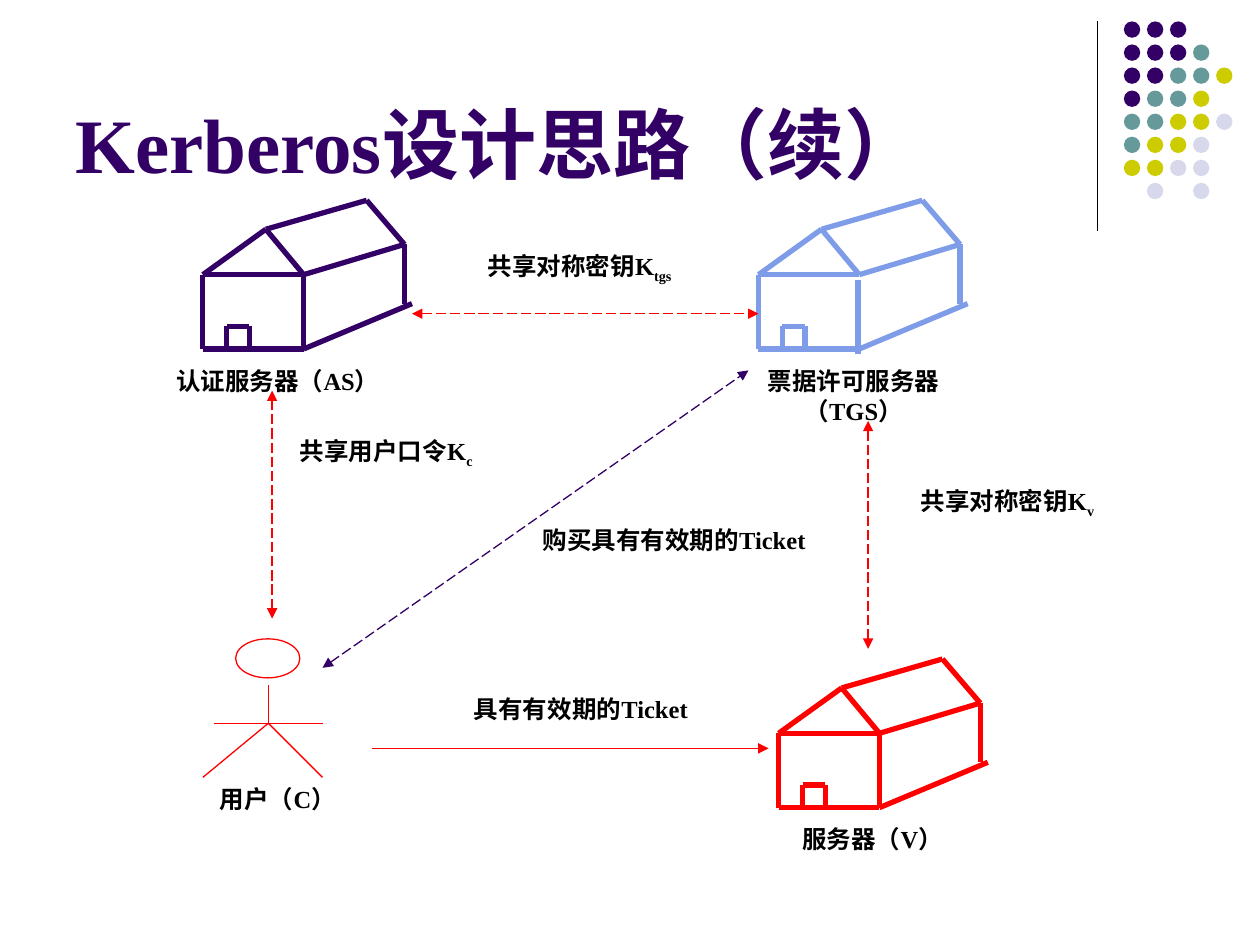
from lxml import etree
from pptx import Presentation
from pptx import util as u
from pptx.dml.color import RGBColor
from pptx.enum import dml, shapes, text
from pptx.oxml import ns

THEME = {
    "font": "Times New Roman", "title_size": 44, "label_size": 14,
    "purple": "330066", "teal": "669999", "lime": "CCCC00", "pale": "D8D8EC",
    "blue": "7E9CE8", "red": "FF0000", "black": "000000",
    "thin": 0.75, "thick": 3,
}

# Content; all lengths are inches
SLIDE_SIZE = (10, 7.5)
TITLE = ("Kerberos设计思路（续）", (0.5, 0.13, 8.25, 1.42))
DIVIDER = ((8.71, 0.17), (8.71, 1.83))

DOT_COLOURS = {"P": "purple", "T": "teal", "L": "lime", "D": "pale"}
DOT_ROWS = ["PPP", "PPPT", "PPTTL", "PTTL", "TTLLD", "TLLD", "LLDD", " D D"]
DOT_ORIGIN, DOT_PITCH, DOT_SIZE = (8.92, 0.17), 0.183, 0.13

# Colour, left, top, shift of the front corner wall
HOUSES = [
    ("blue", 6.02, 1.59, (-0.01, 0.04)),
    ("red", 6.18, 5.23, (0, 0)),
    ("purple", 1.61, 1.59, (0, 0)),
]
HOUSE_POINTS = {
    "gable": (0.5, 0.23), "ridge": (1.3, 0), "eave": (1.6, 0.35),
    "left eave": (0, 0.59), "front eave": (0.8, 0.59),
    "left base": (0, 1.18), "front base": (0.8, 1.18),
    "back base": (1.66, 0.82), "back foot": (1.6, 0.82),
    "door top left": (0.19, 1), "door top right": (0.37, 1),
    "door base left": (0.19, 1.18), "door base right": (0.37, 1.18),
}
CORNER_WALL = ("front eave", "front base")
HOUSE_EDGES = [
    ("gable", "left eave"), ("gable", "front eave"), ("left eave", "front eave"),
    ("gable", "ridge"), ("ridge", "eave"), ("front eave", "eave"),
    ("left eave", "left base"), CORNER_WALL, ("left base", "front base"),
    ("front base", "back base"), ("eave", "back foot"),
    ("door top left", "door base left"), ("door top left", "door top right"),
    ("door top right", "door base right"),
]

USER_HEAD = (1.87, 5.07, 0.51, 0.31)
USER_LIMBS = [
    ((2.13, 5.44), (2.13, 5.74)), ((2.13, 5.74), (1.61, 6.17)),
    ((2.13, 5.74), (2.56, 6.17)), ((1.7, 5.74), (2.56, 5.74)),
]

# Start, end, colour, two-way (dashed with two heads)
ARROWS = [
    ((2.95, 5.94), (6.1, 5.94), "red", False),
    ((3.27, 2.49), (6.02, 2.49), "red", True),
    ((6.89, 3.34), (6.89, 5.15), "red", True),
    ((2.16, 4.91), (2.16, 3.1), "red", True),
    ((2.56, 5.3), (5.94, 2.94), "purple", True),
]

# Text, subscript, box
LABELS = [
    ("票据许可服务器（TGS）", "", (5.79, 2.86, 1.97, 0.57)),
    ("服务器（V）", "", (5.94, 6.49, 1.97, 0.34)),
    ("认证服务器（AS）", "", (1.22, 2.86, 1.97, 0.34)),
    ("用户（C）", "", (1.22, 6.17, 1.97, 0.34)),
    ("具有有效期的Ticket", "", (3.35, 5.46, 2.52, 0.34)),
    ("共享对称密钥K", "tgs", (3.5, 1.94, 2.2, 0.37)),
    ("共享对称密钥K", "v", (6.89, 3.81, 2.21, 0.37)),
    ("共享用户口令K", "c", (2.24, 3.41, 1.65, 0.37)),
    ("购买具有有效期的Ticket", "", (4.13, 4.12, 2.44, 0.34)),
]


def colour(name):
    return RGBColor.from_string(THEME[name])


def inches(values):
    return [u.Inches(value) for value in values]


def add_line(parent, start, end, line_colour, weight="thin"):
    line = parent.add_connector(shapes.MSO_CONNECTOR.STRAIGHT, *inches((*start, *end)))
    line.line.color.rgb = colour(line_colour)
    line.line.width = u.Pt(THEME[weight])
    etree.SubElement(line.element.spPr, ns.qn("a:effectLst"))
    return line


def add_arrow(parent, start, end, line_colour, two_way):
    line = add_line(parent, start, end, line_colour)
    if two_way:
        line.line.dash_style = dml.MSO_LINE.LONG_DASH
    for tag in ("a:headEnd", "a:tailEnd") if two_way else ("a:tailEnd",):
        etree.SubElement(line.line._get_or_add_ln(), ns.qn(tag), type="triangle")


def add_ellipse(parent, box, fill=None, outline=None):
    ellipse = parent.add_shape(shapes.MSO_SHAPE.OVAL, *inches(box))
    ellipse.shadow.inherit = False
    if fill:
        ellipse.fill.solid()
        ellipse.fill.fore_color.rgb = colour(fill)
    else:
        ellipse.fill.background()
    if outline:
        ellipse.line.color.rgb = colour(outline)
        ellipse.line.width = u.Pt(THEME["thin"])
    else:
        ellipse.line.fill.background()


def add_text(parent, words, box, size, text_colour, subscript=""):
    frame = parent.add_textbox(*inches(box)).text_frame
    frame.word_wrap = True
    paragraph = frame.paragraphs[0]
    paragraph.add_run().text = words
    if subscript:
        run = paragraph.add_run()
        run.text = subscript
        run.font._element.set("baseline", "-25000")
    font = paragraph.font
    font.name, font.size, font.bold = THEME["font"], u.Pt(THEME[size]), True
    font.color.rgb = colour(text_colour)
    return frame


def add_house(parent, house_colour, left, top, wall_shift):
    for edge in HOUSE_EDGES:
        shift_x, shift_y = wall_shift if edge == CORNER_WALL else (0, 0)
        start, end = [
            (left + x + shift_x, top + y + shift_y)
            for x, y in (HOUSE_POINTS[name] for name in edge)
        ]
        add_line(parent, start, end, house_colour, "thick")


def main():
    presentation = Presentation()
    presentation.slide_width, presentation.slide_height = inches(SLIDE_SIZE)
    slide = presentation.slides.add_slide(presentation.slide_layouts[6])
    canvas = slide.shapes

    # Corner decoration
    add_line(canvas, *DIVIDER, "black")
    dots = canvas.add_group_shape().shapes
    for row, pattern in enumerate(DOT_ROWS):
        for column, key in enumerate(pattern):
            if key in DOT_COLOURS:
                left = DOT_ORIGIN[0] + column * DOT_PITCH
                top = DOT_ORIGIN[1] + row * DOT_PITCH
                add_ellipse(dots, (left, top, DOT_SIZE, DOT_SIZE), DOT_COLOURS[key])

    # Title
    title = add_text(canvas, *TITLE, "title_size", "purple")
    title.vertical_anchor = text.MSO_ANCHOR.BOTTOM

    # Servers and user
    for house in HOUSES:
        add_house(canvas.add_group_shape().shapes, *house)
    user = canvas.add_group_shape().shapes
    add_ellipse(user, USER_HEAD, outline="red")
    for limb in USER_LIMBS:
        add_line(user, *limb, "red")

    # Exchanges and labels
    for arrow in ARROWS:
        add_arrow(canvas, *arrow)
    for words, subscript, box in LABELS:
        label = add_text(canvas, words, box, "label_size", "black", subscript)
        label.paragraphs[0].alignment = text.PP_ALIGN.CENTER

    presentation.save("out.pptx")


if __name__ == "__main__":
    main()
